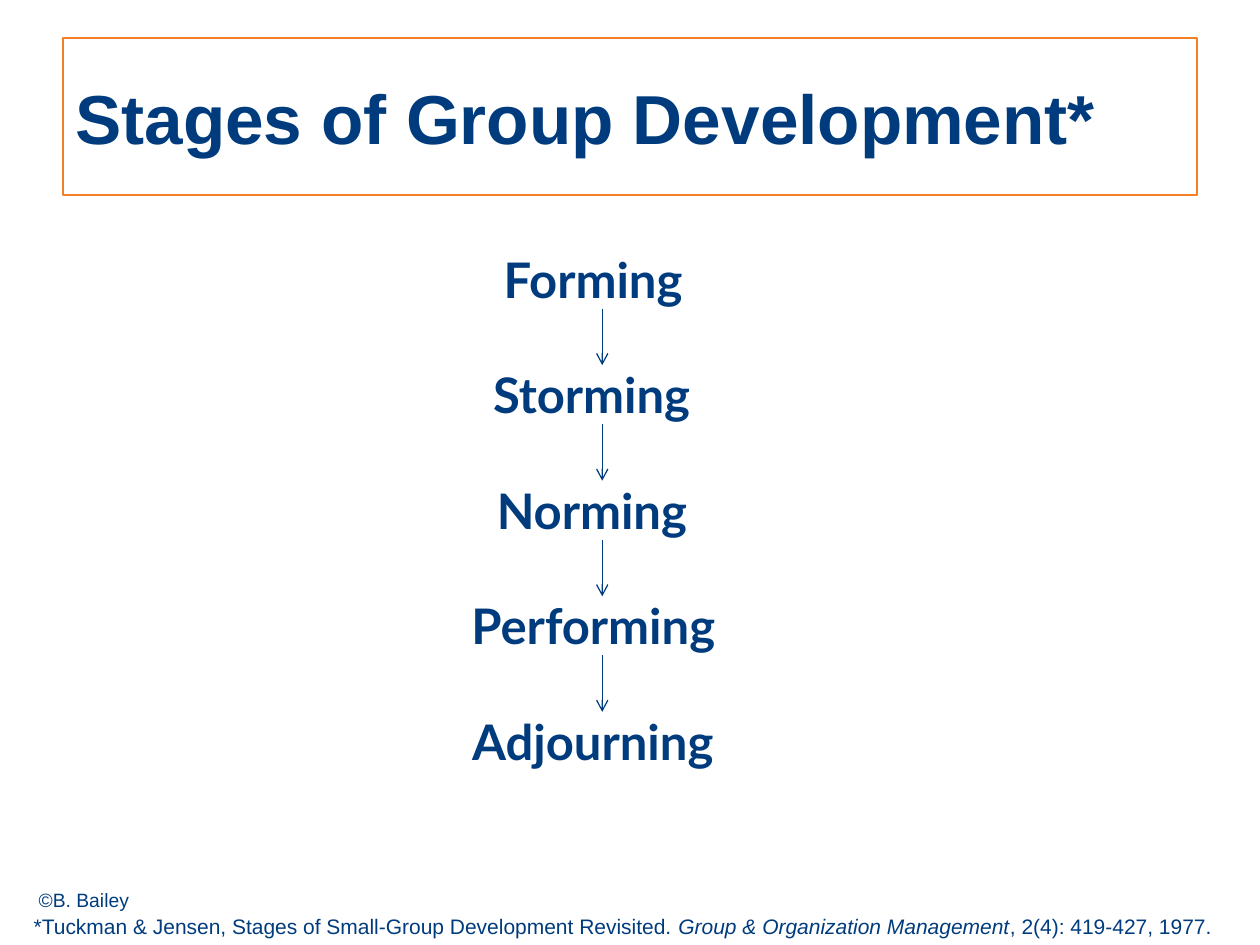
from lxml import etree
from pptx import Presentation
from pptx.dml.color import RGBColor
from pptx.enum.shapes import MSO_CONNECTOR, MSO_SHAPE
from pptx.enum.text import MSO_ANCHOR, MSO_AUTO_SIZE, PP_ALIGN
from pptx.oxml.ns import qn
from pptx.util import Cm, Pt

RECTANGLE = MSO_SHAPE.RECTANGLE
STRAIGHT = MSO_CONNECTOR.STRAIGHT
MIDDLE = MSO_ANCHOR.MIDDLE
LEFT = PP_ALIGN.LEFT
GROW = MSO_AUTO_SIZE.SHAPE_TO_FIT_TEXT

NAVY = "003C7D"
ORANGE = "F47F24"

# Stage names with box widths in cm, all centred on one axis
STAGES = [("Forming", 4.47), ("Storming", 4.9), ("Norming", 4.75),
          ("Performing", 5.77), ("Adjourning", 5.74)]
AXIS = 12.14
STAGE_TOP = 4.9
STAGE_HEIGHT = 1.45
STAGE_STEP = 2.33
ARROW_OFFSET = 1.32
ARROW_LENGTH = 1.14


def color(hex_string):
    return RGBColor.from_string(hex_string)


def add_spans(para, spans, size, font, bold=False):
    """Write (text, italic) pairs as runs of one paragraph."""
    para.alignment = LEFT
    for text, italic in spans:
        span = para.add_run()
        span.text = text
        span.font.size = Pt(size)
        span.font.name = font
        span.font.bold = bold
        span.font.italic = italic
        span.font.color.rgb = color(NAVY)


def add_title(page, text):
    box = page.shapes.add_shape(RECTANGLE, Cm(1.27), Cm(0.76), Cm(22.86), Cm(3.18))
    box.shadow.inherit = False
    box.fill.background()
    box.line.color.rgb = color(ORANGE)
    box.line.width = Pt(1)
    box.text_frame.word_wrap = True
    box.text_frame.vertical_anchor = MIDDLE
    add_spans(box.text_frame.paragraphs[0], [(text, False)], 39.6, "Arial", bold=True)


def add_text(page, left, top, width, height, spans, size, font, bold=False, wrap=True):
    box = page.shapes.add_textbox(Cm(left), Cm(top), Cm(width), Cm(height))
    box.text_frame.word_wrap = wrap
    box.text_frame.auto_size = GROW
    add_spans(box.text_frame.paragraphs[0], spans, size, font, bold)


def add_down_arrow(page, x, top, length):
    arrow = page.shapes.add_connector(STRAIGHT, Cm(x), Cm(top), Cm(x), Cm(top + length))
    arrow.line.color.rgb = color(NAVY)
    arrow.line.width = Pt(0.75)
    etree.SubElement(arrow.line._get_or_add_ln(), qn("a:tailEnd"), type="arrow")
    etree.SubElement(arrow._element.spPr, qn("a:effectLst"))


def add_stages(page):
    for index, (name, width) in enumerate(STAGES):
        top = STAGE_TOP + index * STAGE_STEP
        add_text(page, AXIS - width / 2, top, width, STAGE_HEIGHT,
                 [(name, False)], 28, "Lato", bold=True, wrap=False)
        if index < len(STAGES) - 1:
            add_down_arrow(page, AXIS, top + ARROW_OFFSET, ARROW_LENGTH)


def main():
    deck = Presentation()
    deck.slide_width, deck.slide_height = Cm(25.4), Cm(19.05)
    page = deck.slides.add_slide(deck.slide_layouts[6])

    # Title and the chain of stages
    add_title(page, "Stages of Group Development*")
    add_stages(page)

    # Credit and source at the foot
    add_text(page, 0.53, 17.78, 5.72, 0.73, [("©B. Bailey", False)], 11, "Arial")
    source = [
        ("*Tuckman & Jensen, Stages of Small-Group Development Revisited. ", False),
        ("Group & Organization Management", True),
        (", 2(4): 419-427, 1977.", False),
    ]
    add_text(page, 0.43, 18.29, 24.97, 0.76, source, 12, "Arial")

    deck.save("out.pptx")


main()
